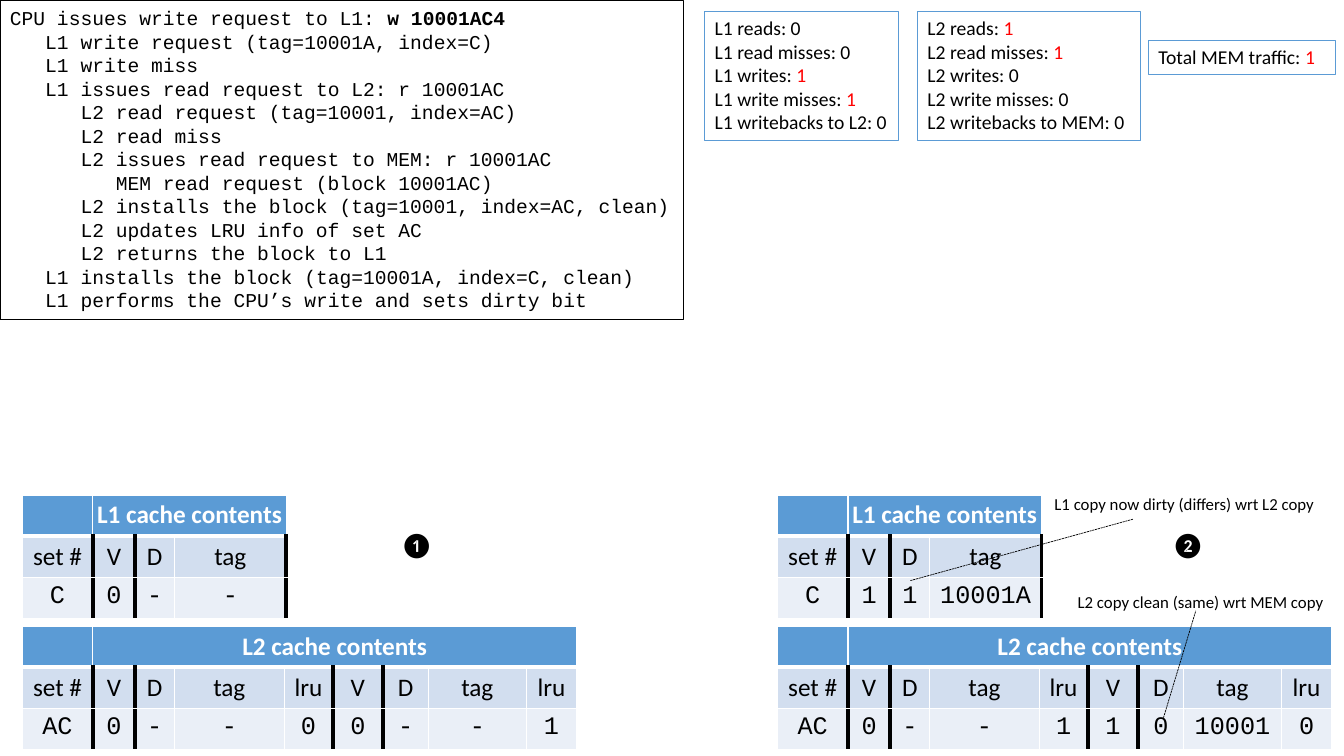
from dataclasses import dataclass

from lxml.etree import SubElement
from pptx import Presentation
from pptx.dml.color import RGBColor
from pptx.enum.dml import MSO_LINE
from pptx.enum.shapes import MSO_CONNECTOR
from pptx.enum.text import MSO_AUTO_SIZE, PP_ALIGN
from pptx.oxml.ns import qn
from pptx.util import Inches, Pt


@dataclass(frozen=True)
class Theme:
    black: str = "000000"
    white: str = "FFFFFF"
    red: str = "FF0000"
    blue: str = "5B9BD5"
    label_fill: str = "D2DEEF"
    value_fill: str = "EAEFF7"
    sans: str = "Calibri"
    mono: str = "Courier New"
    table_size: int = 18
    body_size: int = 14
    note_size: int = 12


theme = Theme()


def add_run(paragraph, text, size, font=theme.sans, color=theme.black, bold=False):
    run = paragraph.add_run()
    run.text = text
    run.font.size = Pt(size)
    run.font.name = font
    run.font.bold = bold
    run.font.color.rgb = RGBColor.from_string(color)


def add_box(left, top, width, height, lines, size, font=theme.sans,
            outline=None, wrap=False):
    """Add a text box; each line is (indent in inches, text, ending, ending colour)."""
    box = slide.shapes.add_textbox(Inches(left), Inches(top), Inches(width), Inches(height))
    if outline:
        box.line.color.rgb = RGBColor.from_string(outline)
        box.line.width = Pt(0.75)
    frame = box.text_frame
    frame.word_wrap = wrap
    frame.auto_size = MSO_AUTO_SIZE.SHAPE_TO_FIT_TEXT
    for number, (indent, text, ending, ending_color) in enumerate(lines):
        paragraph = frame.add_paragraph() if number else frame.paragraphs[0]
        if indent:
            properties = paragraph._p.get_or_add_pPr()
            properties.set("marL", str(Inches(indent)))
            properties.set("indent", "0")
        add_run(paragraph, text, size, font)
        if ending:
            add_run(paragraph, ending, size, font, ending_color, ending_color == theme.black)


presentation = Presentation()
presentation.slide_width = Inches(13.33)
presentation.slide_height = Inches(7.5)
slide = presentation.slides.add_slide(presentation.slide_layouts[6])

# Cache tables, before (left) and after (right) the request
L1_COLUMNS = [0.7, 0.42, 0.39, 1.11]
L2_COLUMNS = [0.7, 0.42, 0.39, 1.09, 0.48, 0.5, 0.45, 0.97, 0.5]
L1_LABELS = ["set #", "V", "D", "tag"]
L2_LABELS = ["set #", "V", "D", "tag", "lru", "V", "D", "tag", "lru"]
ROW_HEIGHT = 0.41
cache_tables = [
    (0.22, 6.21, "L2 cache contents", L2_COLUMNS, L2_LABELS,
     ["AC", "0", "-", "-", "0", "0", "-", "-", "1"]),
    (0.22, 4.91, "L1 cache contents", L1_COLUMNS, L1_LABELS, ["C", "0", "-", "-"]),
    (7.71, 6.21, "L2 cache contents", L2_COLUMNS, L2_LABELS,
     ["AC", "0", "-", "-", "1", "1", "0", "10001", "0"]),
    (7.71, 4.91, "L1 cache contents", L1_COLUMNS, L1_LABELS, ["C", "1", "1", "10001A"]),
]

for left, top, title, columns, labels, values in cache_tables:
    count = len(columns)
    table = slide.shapes.add_table(
        3, count, Inches(left), Inches(top), Inches(sum(columns)), Inches(3 * ROW_HEIGHT)
    ).table
    for column, width in zip(table.columns, columns):
        column.width = Inches(width)
    for row in table.rows:
        row.height = Inches(ROW_HEIGHT)
    table.cell(0, 1).merge(table.cell(0, count - 1))

    # Heavy rules stand on both sides of each V column and at the end of L1
    heavy_edges = {edge for index, label in enumerate(labels) if label == "V"
                   for edge in (index, index + 1)}
    if columns is L1_COLUMNS:
        heavy_edges.add(count)

    row_styles = [
        (["", title] + [""] * (count - 2), theme.blue, theme.sans, theme.white, True),
        (labels, theme.label_fill, theme.sans, theme.black, False),
        (values, theme.value_fill, theme.mono, theme.black, False),
    ]
    for row_index, (texts, fill, font, color, bold) in enumerate(row_styles):
        for column_index, text in enumerate(texts):
            cell = table.cell(row_index, column_index)
            cell.margin_left = cell.margin_right = 0
            left_heavy = row_index > 0 and column_index in heavy_edges
            right_heavy = row_index > 0 and column_index + 1 in heavy_edges
            borders = [
                ("a:lnL", theme.black if left_heavy else theme.white, 3 if left_heavy else 1),
                ("a:lnR", theme.black if right_heavy else theme.white, 3 if right_heavy else 1),
                ("a:lnT", theme.white, 3 if row_index == 1 else 1),
                ("a:lnB", theme.white, 3 if row_index == 0 else 1),
            ]
            for tag, border_color, width in borders:
                border = SubElement(cell._tc.get_or_add_tcPr(), qn(tag), w=str(Pt(width)))
                border_fill = SubElement(border, qn("a:solidFill"))
                SubElement(border_fill, qn("a:srgbClr"), val=border_color)
            cell.fill.solid()
            cell.fill.fore_color.rgb = RGBColor.from_string(fill)
            if text:
                paragraph = cell.text_frame.paragraphs[0]
                paragraph.alignment = PP_ALIGN.CENTER
                add_run(paragraph, text, theme.table_size, font, color, bold)

# Trace of the request, one indent step per nested level
INDENT_STEP = 0.35
trace = [
    (0, "CPU issues write request to L1: ", "w 10001AC4"),
    (1, "L1 write request (tag=10001A, index=C)", ""),
    (1, "L1 write miss", ""),
    (1, "L1 issues read request to L2: r 10001AC", ""),
    (2, "L2 read request (tag=10001, index=AC)", ""),
    (2, "L2 read miss", ""),
    (2, "L2 issues read request to MEM: r 10001AC", ""),
    (3, "MEM read request (block 10001AC)", ""),
    (2, "L2 installs the block (tag=10001, index=AC, clean)", ""),
    (2, "L2 updates LRU info of set AC", ""),
    (2, "L2 returns the block to L1", ""),
    (1, "L1 installs the block (tag=10001A, index=C, clean)", ""),
    (1, "L1 performs the CPU’s write and sets dirty bit", ""),
]
add_box(0, 0.01, 6.78, 3.16,
        [(level * INDENT_STEP, text, ending, theme.black) for level, text, ending in trace],
        theme.body_size, theme.mono, theme.black, wrap=True)

# Counters, with the changed ones in red
counter_boxes = [
    (6.99, 0.11, 1.92, 1.28, [("L1 reads: 0", ""), ("L1 read misses: 0", ""),
                              ("L1 writes: ", "1"), ("L1 write misses: ", "1"),
                              ("L1 writebacks to L2: 0", "")]),
    (9.1, 0.11, 2.21, 1.28, [("L2 reads: ", "1"), ("L2 read misses: ", "1"),
                             ("L2 writes: 0", ""), ("L2 write misses: 0", ""),
                             ("L2 writebacks to MEM: 0", "")]),
    (11.39, 0.4, 1.86, 0.34, [("Total MEM traffic: ", "1")]),
]
for left, top, width, height, counters in counter_boxes:
    add_box(left, top, width, height,
            [(0, text, changed, theme.red) for text, changed in counters],
            theme.body_size, outline=theme.blue)

# Step numbers and notes
labels = [
    (3.87, 5.2, 0.54, 0.4, "❶", theme.table_size),
    (11.52, 5.2, 0.54, 0.4, "❷", theme.table_size),
    (10.36, 4.85, 2.81, 0.3, "L1 copy now dirty (differs) wrt L2 copy", theme.note_size),
    (10.59, 5.82, 2.67, 0.3, "L2 copy clean (same) wrt MEM copy", theme.note_size),
]
for left, top, width, height, text, size in labels:
    add_box(left, top, width, height, [(0, text, "", None)], size)

# Dashed leaders from the dirty bits to their notes
for leader in [(9.03, 5.76, 11.24, 5.15), (11.54, 7.12, 11.86, 6.06)]:
    connector = slide.shapes.add_connector(MSO_CONNECTOR.STRAIGHT, *map(Inches, leader))
    connector.line.color.rgb = RGBColor.from_string(theme.black)
    connector.line.width = Pt(0.5)
    connector.line.dash_style = MSO_LINE.SQUARE_DOT
    SubElement(connector._element.spPr, qn("a:effectLst"))

presentation.save("out.pptx")
